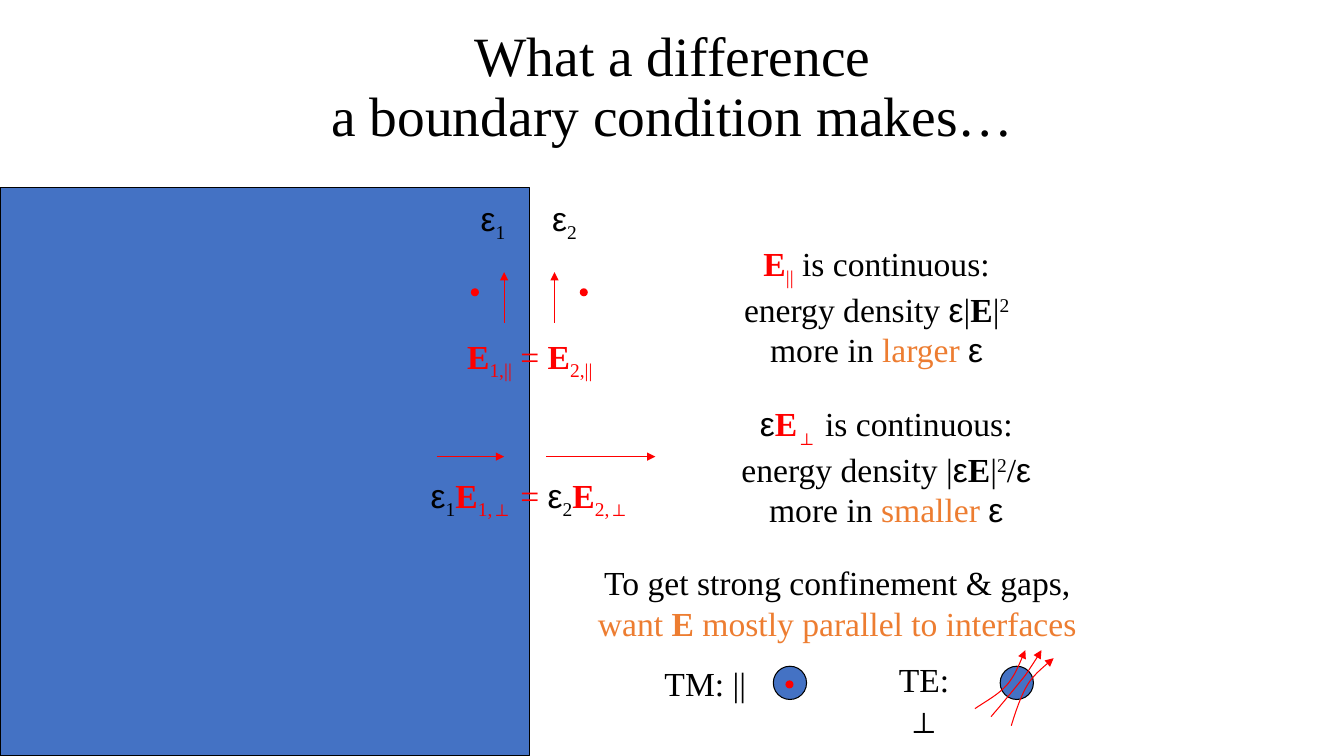
"""Build the slide on boundary conditions of the electric field at an interface."""
from dataclasses import dataclass

from lxml import etree
from pptx import Presentation
from pptx import slide as sl
from pptx import util as u
from pptx.dml import color, line
from pptx.enum import shapes, text
from pptx.oxml import ns

BLACK, RED, BLUE, ORANGE = "000000", "FF0000", "4472C4", "ED7D31"
SERIF, SANS = "Times New Roman", "Arial"
CURVE_STEPS = 12

Point = tuple[float, float]


@dataclass(frozen=True)
class Span:
    text: str
    ink: str = BLACK
    face: str = SERIF
    bold: bool = False
    baseline: int = 0


@dataclass(frozen=True)
class Label:
    left: float
    top: float
    width: float
    height: float
    lines: list[list[Span]]
    wrap: bool = False


@dataclass(frozen=True)
class Block:
    left: float
    top: float
    width: float
    height: float
    fill: str
    outlined: bool = False
    preset: shapes.MSO_SHAPE = shapes.MSO_SHAPE.OVAL


def dot(left: float, top: float) -> Block:
    return Block(left, top, 0.08, 0.08, RED)


def rod(left: float) -> Block:
    return Block(left, 6.61, 0.33, 0.33, BLUE, outlined=True)


def sub(content: str, ink: str = BLACK) -> Span:
    return Span(content, ink, baseline=-25000)


EPSILON = Span("ε", face=SANS)
FIELD = Span("E", bold=True)
RED_FIELD = Span("E", RED, bold=True)
EQUALS = Span(" = ", RED)
BAR = Span("|")
SQUARED = Span("2", baseline=30000)
CONTINUOUS = Span(" is continuous:")

BLOCKS = [
    Block(0, 1.86, 5.25, 5.64, BLUE, True, shapes.MSO_SHAPE.RECTANGLE),
    dot(4.67, 2.86), dot(5.75, 2.86),
    rod(7.67), dot(7.79, 6.75), rod(9.92),
]

ARROWS: list[tuple[Point, Point]] = [
    ((5, 3.2), (5, 2.7)),
    ((5.5, 3.2), (5.5, 2.7)),
    ((4.33, 4.53), (5, 4.53)),
    ((5.42, 4.53), (6.5, 4.53)),
]

FIELD_LINES: list[list[Point]] = [
    [(10.03, 7.2), (10.08, 7.04), (10.13, 6.89), (10.2, 6.78),
     (10.27, 6.67), (10.41, 6.57), (10.45, 6.53)],
    [(9.83, 7.11), (9.96, 6.96), (10.08, 6.81), (10.17, 6.7),
     (10.25, 6.58), (10.29, 6.52), (10.33, 6.45)],
    [(9.67, 7.03), (9.79, 6.95), (9.92, 6.88), (10, 6.78),
     (10.08, 6.68), (10.12, 6.56), (10.17, 6.45)],
]

LABELS = [
    Label(4.66, 1.91, 0.46, 0.51, [[EPSILON, sub("1")]]),
    Label(5.37, 1.91, 0.46, 0.51, [[EPSILON, sub("2")]]),
    Label(4.5, 3.28, 1.51, 0.5,
          [[RED_FIELD, sub("1,||", RED), EQUALS, RED_FIELD, sub("2,||", RED)]]),
    Label(4.17, 4.66, 2.17, 0.5,
          [[EPSILON, sub("1"), RED_FIELD, sub("1,⊥", RED), EQUALS,
            EPSILON, sub("2"), RED_FIELD, sub("2,⊥", RED)]]),
    Label(7.26, 2.36, 2.87, 1.31, [
        [RED_FIELD, sub("||", RED), CONTINUOUS],
        [Span("energy density "), EPSILON, BAR, FIELD, BAR, SQUARED],
        [Span("more in "), Span("larger ", ORANGE), EPSILON],
    ]),
    Label(7.23, 3.95, 3.12, 1.31, [
        [EPSILON, RED_FIELD, sub("⊥", RED), CONTINUOUS],
        [Span("energy density |"), EPSILON, FIELD, BAR, SQUARED, Span("/"), EPSILON],
        [Span("more in "), Span("smaller ", ORANGE), EPSILON],
    ]),
    Label(5.81, 5.53, 4.99, 0.91, [
        [Span("To get strong confinement & gaps,")],
        [Span("want ", ORANGE), Span("E", ORANGE, bold=True),
         Span(" mostly parallel to interfaces", ORANGE)],
    ]),
    Label(6.49, 6.53, 1.01, 0.5, [[Span("TM: ||")]]),
    Label(8.71, 6.49, 0.91, 0.91, [[Span("TE: ⊥")]], wrap=True),
]


def rgb(code: str) -> color.RGBColor:
    return color.RGBColor.from_string(code)


def style_line(stroke: line.LineFormat, ink: str) -> None:
    stroke.color.rgb = rgb(ink)
    stroke.width = u.Pt(0.75)


def add_arrowhead(properties: etree.ElementBase) -> None:
    outline = properties.find(ns.qn("a:ln"))
    etree.SubElement(outline, ns.qn("a:tailEnd"), type="triangle")


def draw_title(slide: sl.Slide) -> None:
    title = slide.shapes.title
    title.left, title.top = u.Inches(2.42), u.Inches(0.25)
    title.width, title.height = u.Inches(8.5), u.Inches(1.25)
    frame = title.text_frame
    frame.auto_size = text.MSO_AUTO_SIZE.NONE
    frame.vertical_anchor = text.MSO_ANCHOR.MIDDLE
    heading = frame.paragraphs[0]
    heading.alignment = text.PP_ALIGN.CENTER
    heading.line_spacing = 0.9
    heading.font.name, heading.font.size = SERIF, u.Pt(39.6)
    heading.font.color.rgb = rgb(BLACK)
    heading.add_run().text = "What a difference"
    heading.add_line_break()
    heading.add_run().text = "a boundary condition makes…"


def draw_block(slide: sl.Slide, block: Block) -> None:
    body = slide.shapes.add_shape(
        block.preset, u.Inches(block.left), u.Inches(block.top),
        u.Inches(block.width), u.Inches(block.height))
    body.shadow.inherit = False
    body.fill.solid()
    body.fill.fore_color.rgb = rgb(block.fill)
    if block.outlined:
        style_line(body.line, BLACK)
    else:
        body.line.fill.background()


def draw_arrow(slide: sl.Slide, start: Point, end: Point) -> None:
    arrow = slide.shapes.add_connector(
        shapes.MSO_CONNECTOR.STRAIGHT, *(u.Inches(v) for v in start + end))
    style_line(arrow.line, RED)
    properties = arrow._element.spPr
    add_arrowhead(properties)
    etree.SubElement(properties, ns.qn("a:effectLst"))


def bezier(p: list[Point], t: float) -> tuple[u.Length, u.Length]:
    weights = ((1 - t) ** 3, 3 * t * (1 - t) ** 2, 3 * t * t * (1 - t), t ** 3)
    return (u.Inches(sum(w * x for w, (x, _) in zip(weights, p))),
            u.Inches(sum(w * y for w, (_, y) in zip(weights, p))))


def draw_field_line(slide: sl.Slide, controls: list[Point]) -> None:
    start, *points = [bezier(controls[i:i + 4], step / CURVE_STEPS)
                      for i in range(0, len(controls) - 1, 3)
                      for step in range(1 if i else 0, CURVE_STEPS + 1)]
    builder = slide.shapes.build_freeform(*start)
    builder.add_line_segments(points, close=False)
    curve = builder.convert_to_shape()
    curve.shadow.inherit = False
    curve.fill.background()
    style_line(curve.line, RED)
    add_arrowhead(curve._element.spPr)


def draw_label(slide: sl.Slide, label: Label) -> None:
    frame = slide.shapes.add_textbox(
        u.Inches(label.left), u.Inches(label.top),
        u.Inches(label.width), u.Inches(label.height)).text_frame
    frame.word_wrap = label.wrap
    frame.auto_size = text.MSO_AUTO_SIZE.SHAPE_TO_FIT_TEXT
    for index, spans in enumerate(label.lines):
        paragraph = frame.add_paragraph() if index else frame.paragraphs[0]
        paragraph.alignment = text.PP_ALIGN.CENTER
        paragraph.font.size = u.Pt(24)
        for span in spans:
            run = paragraph.add_run()
            run.text = span.text
            run.font.name, run.font.bold = span.face, span.bold
            run.font.color.rgb = rgb(span.ink)
            if span.baseline:
                run._r.get_or_add_rPr().set("baseline", str(span.baseline))


def main() -> None:
    deck = Presentation()
    deck.slide_width, deck.slide_height = u.Inches(13.33), u.Inches(7.5)
    slide = deck.slides.add_slide(deck.slide_layouts[5])
    draw_title(slide)
    for block in BLOCKS:
        draw_block(slide, block)
    for start, end in ARROWS:
        draw_arrow(slide, start, end)
    for label in LABELS:
        draw_label(slide, label)
    for controls in FIELD_LINES:
        draw_field_line(slide, controls)
    deck.save("out.pptx")


if __name__ == "__main__":
    main()
